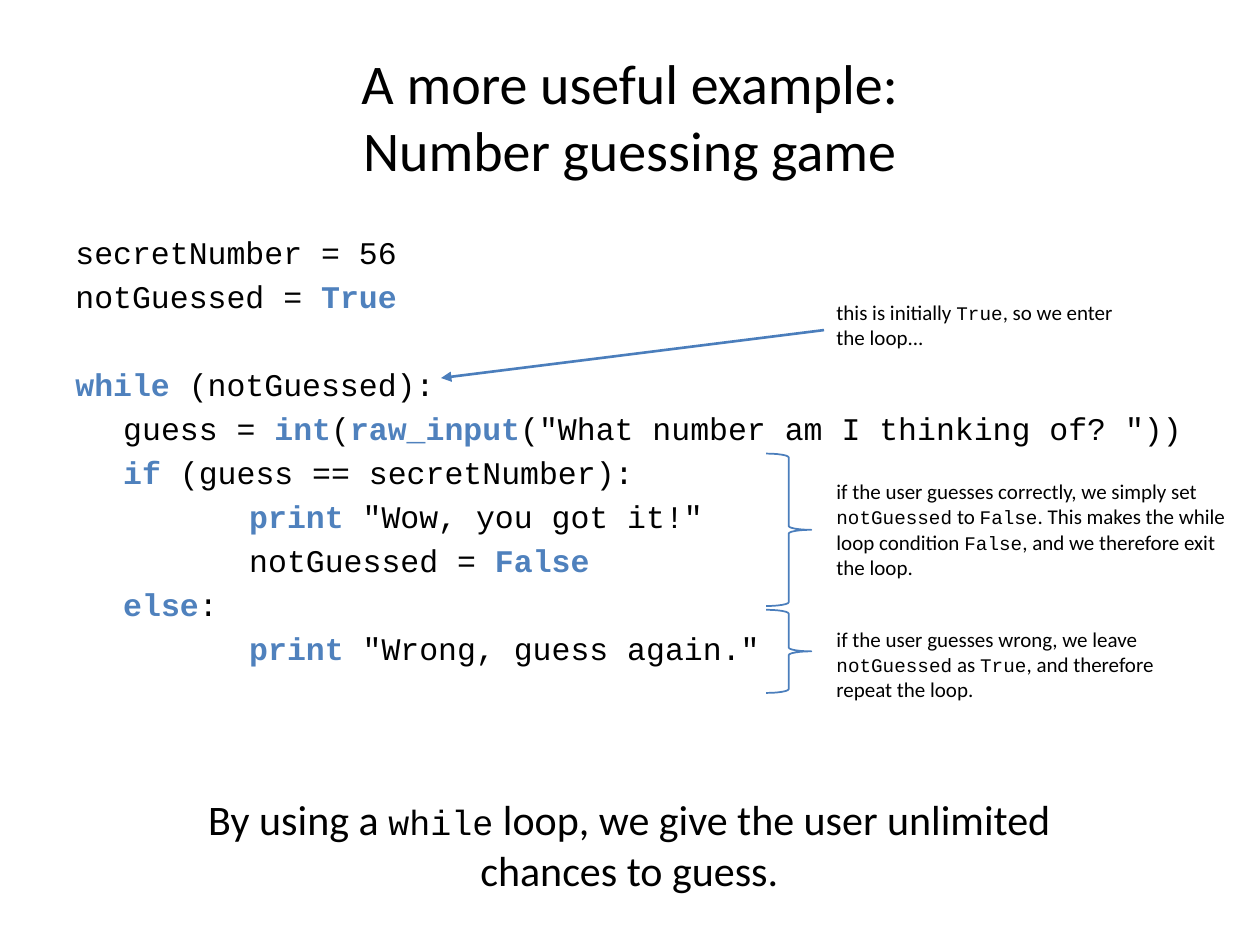
from lxml import etree
from pptx import Presentation
from pptx.dml.color import RGBColor
from pptx.enum.shapes import MSO_CONNECTOR, MSO_SHAPE
from pptx.enum.text import MSO_ANCHOR, PP_ALIGN
from pptx.oxml.ns import qn
from pptx.util import Inches, Pt

STRAIGHT = MSO_CONNECTOR.STRAIGHT
RIGHT_BRACE = MSO_SHAPE.RIGHT_BRACE
BOTTOM = MSO_ANCHOR.BOTTOM
CENTER = PP_ALIGN.CENTER
COLORS = {"text": "000000", "keyword": "4F81BD", "marker": "4B7EBC"}
PROSE, MONO = "Calibri", "Courier New"
LINE_GAP, BLOCK_GAP = 3.6, 28.4


def color(name):
    return RGBColor.from_string(COLORS[name])


def add_prose(left, top, width, height, pieces, prose_size, mono_size):
    frame = slide.shapes.add_textbox(
        Inches(left), Inches(top), Inches(width), Inches(height)).text_frame
    frame.word_wrap = True
    paragraph = frame.paragraphs[0]
    paragraph.font.color.rgb = color("text")
    for index, piece in enumerate(pieces):
        run = paragraph.add_run()
        run.text = piece
        is_code = index % 2 == 1
        run.font.name = MONO if is_code else PROSE
        run.font.size = Pt(mono_size if is_code else prose_size)
    return paragraph


prs = Presentation()
prs.slide_width, prs.slide_height = Inches(10), Inches(7.5)
slide = prs.slides.add_slide(prs.slide_layouts[6])

title = slide.shapes.add_textbox(
    Inches(0.5), Inches(0.3), Inches(9), Inches(1.25)).text_frame
title.word_wrap = True
title.vertical_anchor = BOTTOM
title.margin_top = title.margin_bottom = Inches(0.1)
heading = title.paragraphs[0]
heading.text = "A more useful example:\vNumber guessing game"
heading.alignment = CENTER
heading.font.name = PROSE
heading.font.size = Pt(32)
heading.font.color.rgb = color("text")

CODE = [
    (0, 0, ["secretNumber = 56"]),
    (0, LINE_GAP, ["notGuessed = ", "True"]),
    (0, BLOCK_GAP, ["", "while", " (notGuessed):"]),
    (0.38, LINE_GAP, ["guess = ", "int", "(", "raw_input",
                      '("What number am I thinking of? "))']),
    (0.38, LINE_GAP, ["", "if", " (guess == secretNumber):"]),
    (1.38, LINE_GAP, ["", "print", ' "Wow, you got it!"']),
    (1.38, LINE_GAP, ["notGuessed = ", "False"]),
    (0.38, LINE_GAP, ["", "else", ":"]),
    (1.38, LINE_GAP, ["", "print", ' "Wrong, guess again."']),
]
listing = slide.shapes.add_textbox(
    Inches(0.5), Inches(1.75), Inches(9), Inches(4.95)).text_frame
listing.word_wrap = True
listing.margin_top = listing.margin_bottom = Inches(0.1)
for number, (indent, gap, pieces) in enumerate(CODE):
    line = listing.add_paragraph() if number else listing.paragraphs[0]
    line._p.get_or_add_pPr().set("marL", str(Inches(indent)))
    line.space_before = Pt(gap)
    line.font.name = MONO
    line.font.size = Pt(18)
    for index, piece in enumerate(pieces):
        if piece:
            run = line.add_run()
            run.text = piece
            is_keyword = index % 2 == 1
            run.font.bold = is_keyword
            run.font.color.rgb = color("keyword" if is_keyword else "text")

NOTES = [
    (2.33, 2.58, 0.5, ["this is initially ", "True", ", so we enter the loop..."]),
    (3.75, 3.33, 0.91, ["if the user guesses correctly, we simply set ", "notGuessed",
                        " to ", "False", ". This makes the while loop condition ",
                        "False", ", and we therefore exit the loop."]),
    (4.92, 3.08, 0.71, ["if the user guesses wrong, we leave ", "notGuessed",
                        " as ", "True", ", and therefore repeat the loop."]),
]
for top, width, height, pieces in NOTES:
    add_prose(6.54, top, width, height, pieces, 12, 11)

arrow = slide.shapes.add_connector(
    STRAIGHT, Inches(3.5), Inches(3), Inches(6.54), Inches(2.62))
arrow.line.color.rgb = color("marker")
arrow.line.width = Pt(1.5)
etree.SubElement(arrow.line._get_or_add_ln(), qn("a:headEnd"), type="triangle")
etree.SubElement(arrow._element.spPr, qn("a:effectLst"))

for top, height in [(3.6, 1.21), (4.84, 0.66)]:
    brace = slide.shapes.add_shape(
        RIGHT_BRACE, Inches(6.08), Inches(top), Inches(0.36), Inches(height))
    brace.shadow.inherit = False
    brace.fill.background()
    brace.line.color.rgb = color("marker")
    brace.line.width = Pt(1)

conclusion = add_prose(
    1, 6.25, 7.99, 0.91,
    ["By using a ", "while", " loop, we give the user unlimited chances to guess."],
    24, 20)
conclusion.alignment = CENTER

prs.save("out.pptx")
